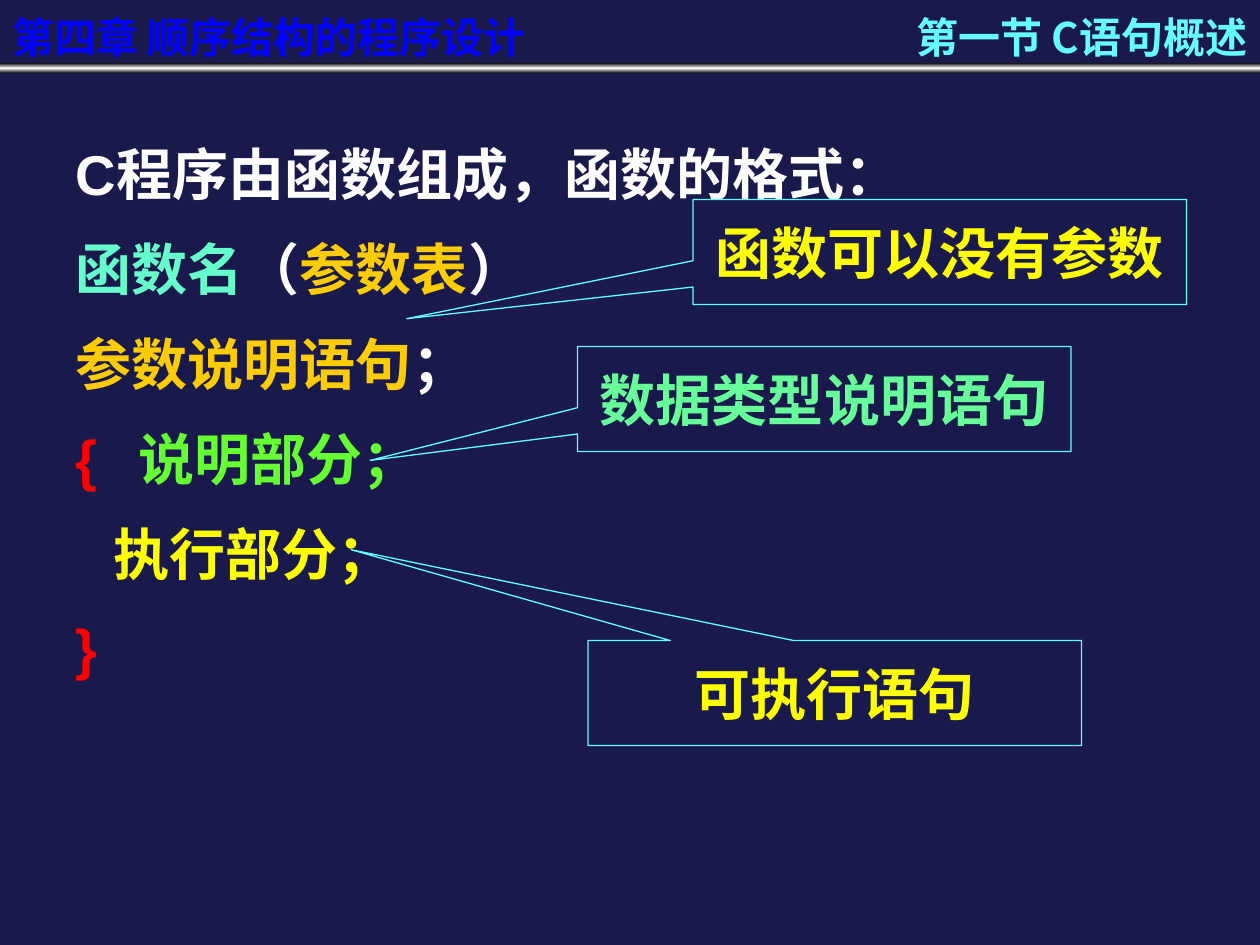
"""Builds a slide on the format of a C function, with callouts."""
import copy

import pptx
import pptx.dml.color
import pptx.enum.shapes
import pptx.enum.text
import pptx.oxml
import pptx.oxml.ns
import pptx.util

Pt = pptx.util.Pt
PP_ALIGN = pptx.enum.text.PP_ALIGN
MSO_ANCHOR = pptx.enum.text.MSO_ANCHOR
MSO_SHAPE = pptx.enum.shapes.MSO_SHAPE
qn = pptx.oxml.ns.qn

COLORS = {
    "navy": "19194B", "black": "000000", "white": "FFFFFF", "blue": "0000FF",
    "cyan": "66FFFF", "aqua": "66FFCC", "mint": "66FF99", "green": "66FF33",
    "gold": "FFCC00", "yellow": "FFFF00", "red": "FF0000", "gray": "808080",
}
CJK = "Noto Sans CJK SC"


def rgb(name):
    return pptx.dml.color.RGBColor.from_string(COLORS[name])


def xml(tag, attrs="", inner=""):
    ns = pptx.oxml.ns.nsdecls("a")
    return pptx.oxml.parse_xml(f"<a:{tag} {ns} {attrs}>{inner}</a:{tag}>")


class SlideBuilder:
    """Holds the style and the current slide."""

    def __init__(self, prs):
        self.s = prs.slides.add_slide(prs.slide_layouts[1])
        self.s.background.fill.solid()
        self.s.background.fill.fore_color.rgb = rgb("navy")

    def place(self, sp, box):
        sp.left, sp.top, sp.width, sp.height = [Pt(v) for v in box]

    def style(self, r, size, font, color):
        r.font.size, r.font.bold, r.font.name = Pt(size), True, font
        r.font.color.rgb = rgb(color)
        r.font._element.find(qn("a:latin")).addnext(xml("ea", f'typeface="{CJK}"'))

    def frame(self, sp, anchor, wrap=True):
        tf = sp.text_frame
        tf.auto_size = pptx.enum.text.MSO_AUTO_SIZE.NONE
        tf.word_wrap, tf.vertical_anchor = wrap, anchor
        tf.margin_left = tf.margin_right = Pt(7.2)
        tf.margin_top = tf.margin_bottom = Pt(3.6)
        return tf

    def heading(self, sp, box, text, color, align):
        self.place(sp, box)
        tf = self.frame(sp, MSO_ANCHOR.MIDDLE)
        tf.text = text
        p = tf.paragraphs[0]
        p.alignment = align
        self.style(p.runs[0], 24, CJK, color)
        return p.runs[0]

    def chapter(self, box, text):
        sp = self.s.shapes.add_textbox(0, 0, 0, 0)
        r = self.heading(sp, box, text, "blue", PP_ALIGN.LEFT)
        shadow = xml("effectLst", inner='<a:outerShdw dist="25400" dir="2700000">'
                     f'<a:srgbClr val="{COLORS["gray"]}"/></a:outerShdw>')
        r.font._element.find(qn("a:solidFill")).addnext(shadow)

    def section(self, box, text):
        self.heading(self.s.shapes.title, box, text, "cyan", PP_ALIGN.RIGHT)

    def rule(self, box):
        sp = self.s.shapes.add_shape(MSO_SHAPE.RECTANGLE, *[Pt(v) for v in box])
        sp.shadow.inherit = False
        sp.line.fill.background()
        sp.fill.gradient()
        sp.fill.gradient_angle = 90
        for stop in sp.fill.gradient_stops:
            stop.color.rgb = rgb("black")
        first = sp._element.spPr.find(".//" + qn("a:gs"))
        first.addnext(copy.deepcopy(first))
        middle = sp.fill.gradient_stops[1]
        middle.position, middle.color.rgb = 0.5, rgb("white")

    def body(self, box, lines):
        sp = self.s.placeholders[1]
        self.place(sp, box)
        tf = self.frame(sp, MSO_ANCHOR.TOP)
        tf.margin_top = Pt(6)
        for i, (indent, runs) in enumerate(lines):
            p = tf.add_paragraph() if i else tf.paragraphs[0]
            pPr = p._p.get_or_add_pPr()
            pPr.set("marL", str(Pt(indent)))
            pPr.set("indent", "0")
            pPr.append(xml("buNone"))
            pPr.append(xml("tabLst", inner=f'<a:tab pos="{Pt(38)}" algn="l"/>'))
            p.line_spacing, p.space_before = Pt(46.2), Pt(8 if i else 0)
            for text, color in runs:
                r = p.add_run()
                r.text = text
                self.style(r, 32, "Arial", color)

    def callout(self, left, top, tip, text, color):
        box = (left, top, 282, 60)
        sp = self.s.shapes.add_shape(MSO_SHAPE.RECTANGULAR_CALLOUT, *[Pt(v) for v in box])
        sp.adjustments[0], sp.adjustments[1] = tip
        sp.shadow.inherit = False
        sp.fill.background()
        sp.line.color.rgb, sp.line.width = rgb("cyan"), Pt(0.75)
        tf = self.frame(sp, MSO_ANCHOR.MIDDLE, wrap=False)
        tf.text = text
        p = tf.paragraphs[0]
        p.alignment = PP_ALIGN.CENTER
        self.style(p.runs[0], 32, "Times New Roman", color)


def main():
    prs = pptx.Presentation()
    prs.slide_width, prs.slide_height = Pt(720), Pt(540)
    b = SlideBuilder(prs)
    b.rule((0, 36, 720, 6))
    b.chapter((0, 0, 354, 42), "第四章 顺序结构的程序设计")
    b.section((438, 0, 282, 42), "第一节 C语句概述")
    b.body((36, 66, 594, 324), [
        (0, [("C程序由函数组成，函数的格式：", "white")]),
        (0, [("函数名", "aqua"), ("（", "white"), ("参数表", "gold"), ("）", "white")]),
        (0, [("参数说明语句", "gold"), ("；", "white")]),
        (0, [("{\t", "red"), ("说明部分；", "green")]),
        (21.5, [("执行部分；", "yellow")]),
        (0, [("}", "red")]),
    ])
    b.callout(330, 198, (-0.92, 0.585), "数据类型说明语句", "mint")
    b.callout(336, 366, (-0.98, -1.365), "可执行语句", "yellow")
    b.callout(396, 114, (-1.08, 0.635), "函数可以没有参数", "yellow")
    prs.save("out.pptx")


if __name__ == "__main__":
    main()
